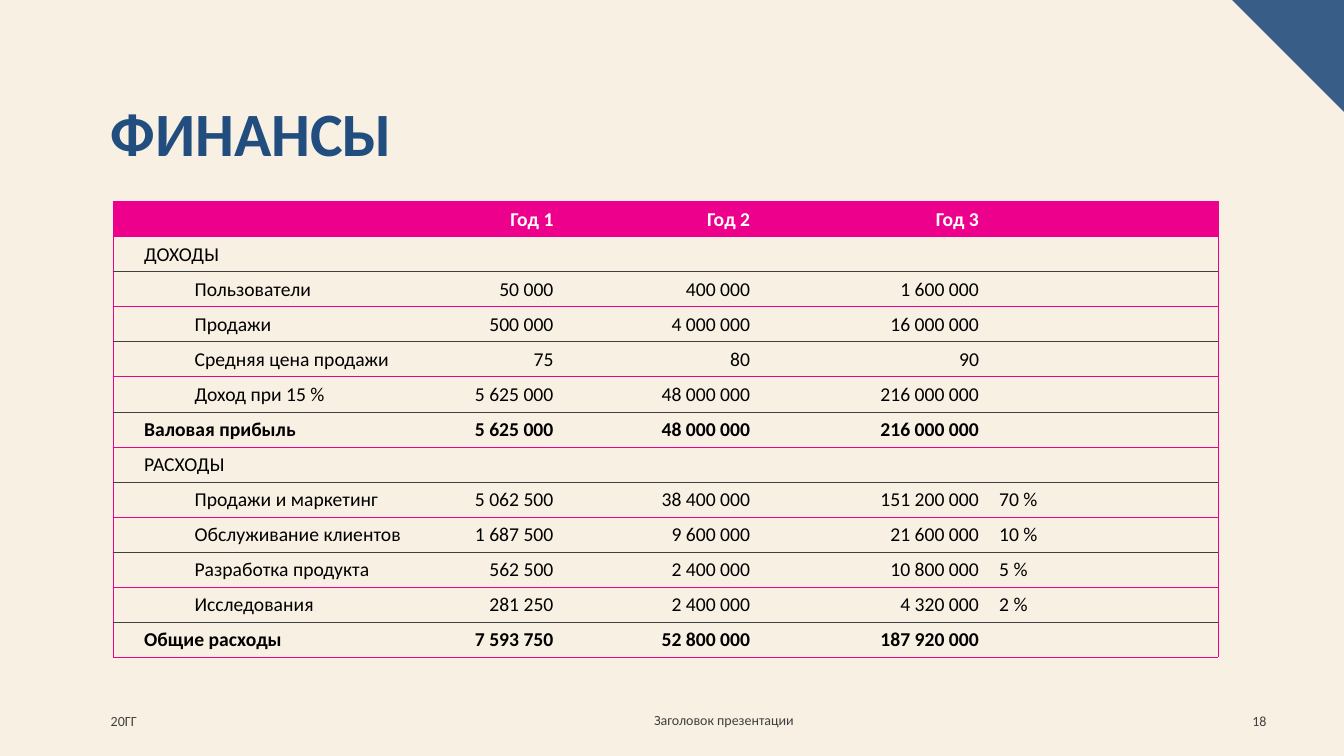
"""Build the finance slide with a three-year income and expense table."""
from lxml import etree
from pptx import Presentation
from pptx import util as u
from pptx.dml.color import RGBColor
from pptx.enum import text
from pptx.oxml import ns

COLORS = {"bg": "F8F0E3", "corner": "385E88", "title": "224E7F", "pink": "EC008C",
          "rule": "404040", "body": "000000", "white": "FFFFFF", "footer": "404040"}
FONT = "Calibri"
NBSP = chr(160)
ALIGN = text.PP_ALIGN
COLUMNS = [3.11, 1.36, 1.95, 2.27, 2.27]
TABLE_HEIGHT = 4.52
SECTION, ITEM, TOTAL = "section", "item", "total"
ROWS = [
    (SECTION, "ДОХОДЫ", [], None),
    (ITEM, "Пользователи", [50000, 400000, 1600000], None),
    (ITEM, "Продажи", [500000, 4000000, 16000000], None),
    (ITEM, "Средняя цена продажи", [75, 80, 90], None),
    (ITEM, f"Доход при 15{NBSP}%", [5625000, 48000000, 216000000], None),
    (TOTAL, "Валовая прибыль", [5625000, 48000000, 216000000], None),
    (SECTION, "РАСХОДЫ", [], None),
    (ITEM, "Продажи и маркетинг", [5062500, 38400000, 151200000], 70),
    (ITEM, "Обслуживание клиентов", [1687500, 9600000, 21600000], 10),
    (ITEM, "Разработка продукта", [562500, 2400000, 10800000], 5),
    (ITEM, "Исследования", [281250, 2400000, 4320000], 2),
    (TOTAL, "Общие расходы", [7593750, 52800000, 187920000], None),
]


def rgb(name):
    return RGBColor.from_string(COLORS[name])


def format_runs(p, size, color, bold=False):
    for r in p.runs:
        r.font.name = FONT
        r.font.size = u.Pt(size)
        r.font.bold = bold
        r.font.color.rgb = rgb(color)


def add_label(s, box, label, size, color, align=ALIGN.LEFT, bold=False,
              anchor=text.MSO_ANCHOR.MIDDLE):
    tf = s.shapes.add_textbox(*map(u.Inches, box)).text_frame
    tf.word_wrap = True
    tf.vertical_anchor = anchor
    tf.text = label
    p = tf.paragraphs[0]
    p.alignment = align
    format_runs(p, size, color, bold)
    return p


def add_corner(s):
    builder = s.shapes.build_freeform(u.Inches(12.22), 0)
    builder.add_line_segments([(u.Inches(13.33), 0), (u.Inches(13.33), u.Inches(1.11))])
    sp = builder.convert_to_shape()
    sp.shadow.inherit = False
    sp.fill.solid()
    sp.fill.fore_color.rgb = rgb("corner")
    sp.line.fill.background()


def set_border(cell, side, color):
    tcPr = cell._tc.get_or_add_tcPr()
    ln = etree.SubElement(tcPr, ns.qn(f"a:ln{side}"), w=str(u.Pt(0.5)))
    if color is None:
        etree.SubElement(ln, ns.qn("a:noFill"))
    else:
        fill = etree.SubElement(ln, ns.qn("a:solidFill"))
        etree.SubElement(fill, ns.qn("a:srgbClr"), val=COLORS[color])


def rule_color(edge):
    """Alternate the colour of the rules between the body rows."""
    inner = 1 < edge <= len(ROWS)
    return "rule" if inner and edge % 2 == 0 else "pink"


def style_cell(cell, row, col):
    set_border(cell, "L", "pink" if col == 0 else None)
    set_border(cell, "R", "pink" if col == len(COLUMNS) - 1 else None)
    set_border(cell, "T", rule_color(row))
    set_border(cell, "B", rule_color(row + 1))
    if row == 0:
        cell.fill.solid()
        cell.fill.fore_color.rgb = rgb("pink")
    else:
        cell.fill.background()
    cell.vertical_anchor = text.MSO_ANCHOR.BOTTOM


def fill_cell(cell, label, kind, row, col):
    p = cell.text_frame.paragraphs[0]
    if not label:
        etree.SubElement(p._p, ns.qn("a:endParaRPr"), sz="1400")
        return
    p.text = label
    p.alignment = ALIGN.RIGHT if 0 < col < 4 else ALIGN.LEFT
    if col == 0:
        cell.margin_left = u.Inches(0.31)
        if kind == ITEM:
            p.level = 1
            pPr = p._p.get_or_add_pPr()
            pPr.set("marL", str(u.Inches(0.5)))
            pPr.set("indent", "0")
    format_runs(p, 14, "body" if row else "white", kind == TOTAL)


def row_labels(label, values, share):
    numbers = [f"{v:,}".replace(",", NBSP) for v in values] or [""] * 3
    return [label, *numbers, f"{share}{NBSP}%" if share else ""]


def add_finance_table(s):
    header = ["", *(f"Год{NBSP}{year}" for year in (1, 2, 3)), ""]
    lines = [(TOTAL, header)]
    lines += [(kind, row_labels(*rest)) for kind, *rest in ROWS]
    table = s.shapes.add_table(len(lines), len(COLUMNS), u.Inches(1.12), u.Inches(2),
                               u.Inches(sum(COLUMNS)), u.Inches(TABLE_HEIGHT)).table
    table.first_row = table.horz_banding = False
    for column, width in zip(table.columns, COLUMNS):
        column.width = u.Inches(width)
    for row, (kind, labels) in enumerate(lines):
        table.rows[row].height = u.Inches(TABLE_HEIGHT / len(lines))
        for col, label in enumerate(labels):
            cell = table.cell(row, col)
            style_cell(cell, row, col)
            fill_cell(cell, label, kind, row, col)


def main():
    prs = Presentation()
    prs.slide_width, prs.slide_height = u.Inches(13.33), u.Inches(7.5)
    s = prs.slides.add_slide(prs.slide_layouts[6])
    s.background.fill.solid()
    s.background.fill.fore_color.rgb = rgb("bg")
    add_corner(s)
    title = add_label(s, (1, 0.98, 11.5, 1.45), "ФИНАНСЫ", 44, "title", bold=True,
                      anchor=text.MSO_ANCHOR.TOP)
    title.line_spacing = 0.9
    add_finance_table(s)
    add_label(s, (1, 6.95, 1.2, 0.4), "20ГГ", 10, "footer")
    add_label(s, (5.93, 6.94, 2.5, 0.4), "Заголовок презентации", 10, "footer", ALIGN.CENTER)
    add_label(s, (12.16, 6.95, 0.5, 0.4), "18", 10, "footer", ALIGN.RIGHT)
    prs.save("out.pptx")


if __name__ == "__main__":
    main()
